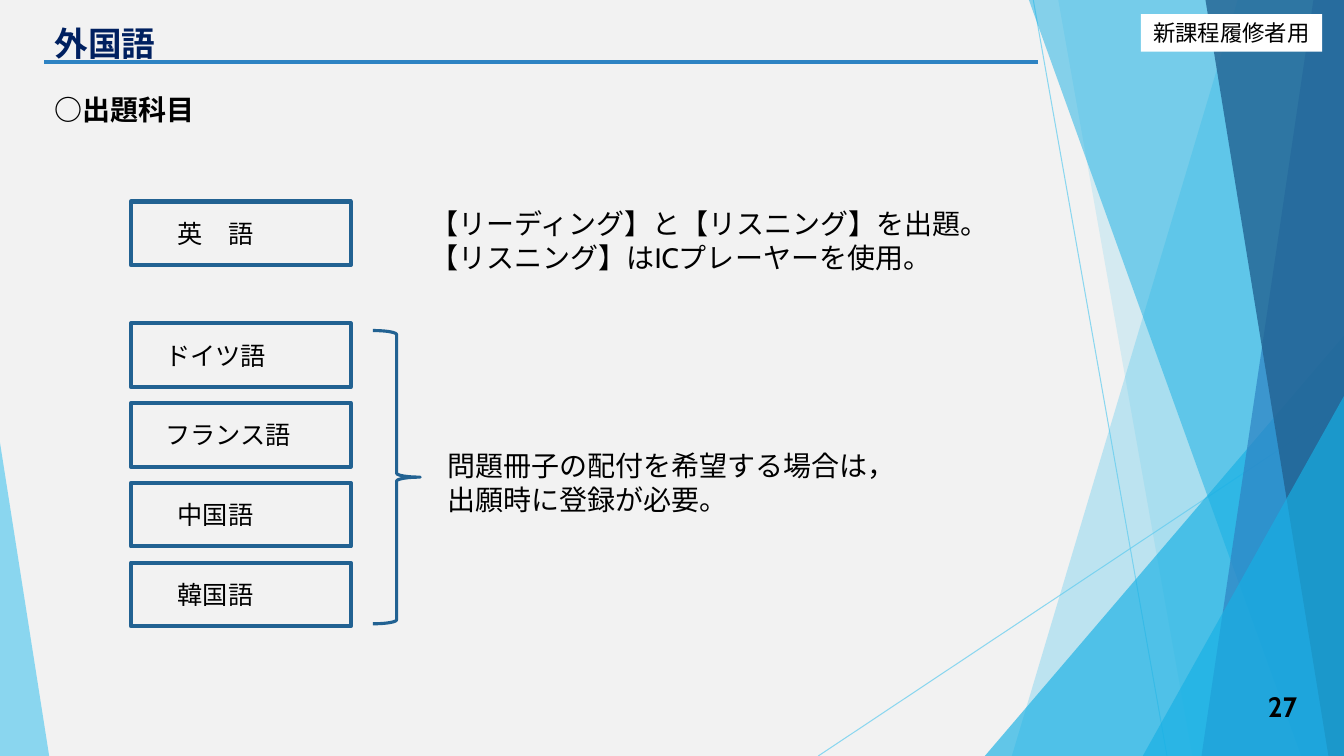
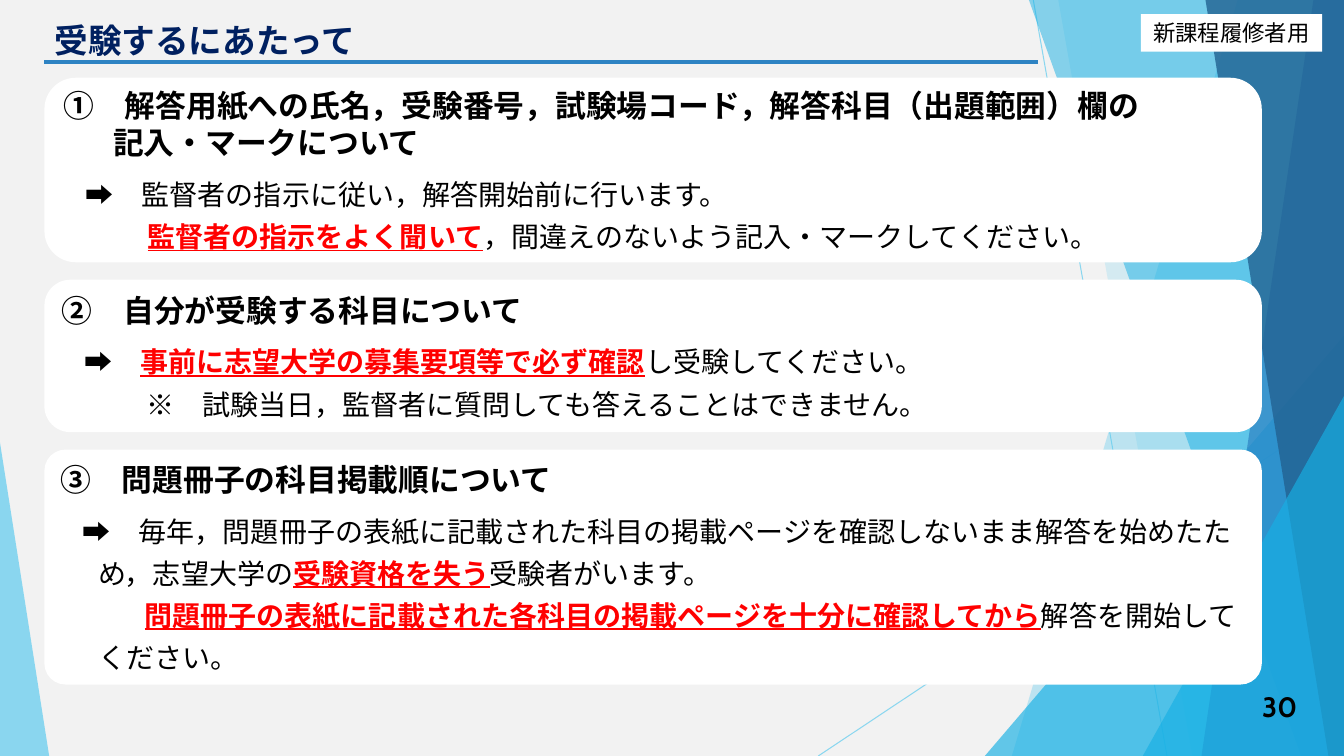
from collections import namedtuple
from dataclasses import dataclass

from lxml import etree
from pptx import Presentation
from pptx.dml.color import RGBColor
from pptx.enum.shapes import MSO_CONNECTOR, MSO_SHAPE
from pptx.enum.text import MSO_ANCHOR, MSO_AUTO_SIZE, PP_ALIGN
from pptx.oxml.ns import qn
from pptx.util import Cm, Pt

RECTANGLE = MSO_SHAPE.RECTANGLE
ROUNDED = MSO_SHAPE.ROUNDED_RECTANGLE
TRIANGLE = MSO_SHAPE.ISOSCELES_TRIANGLE
BRACE = MSO_SHAPE.RIGHT_BRACE
STRAIGHT = MSO_CONNECTOR.STRAIGHT
TOP, MIDDLE = MSO_ANCHOR.TOP, MSO_ANCHOR.MIDDLE
LEFT, CENTER, RIGHT = PP_ALIGN.LEFT, PP_ALIGN.CENTER, PP_ALIGN.RIGHT
NO_AUTOFIT = MSO_AUTO_SIZE.NONE

Box = namedtuple("Box", "left top width height")
Style = namedtuple("Style", "size color bold underline", defaults=(False, False))
Line = namedtuple("Line", "runs indent before", defaults=(0, 0))


@dataclass(frozen=True)
class Theme:
    """Colours, type sizes and page measures (cm) of the deck."""
    font: str = "Cabin"
    width: float = 33.87
    height: float = 19.05
    background: str = "F2F2F2"
    white: str = "FFFFFF"
    sky: str = "5FCBEF"
    cyan: str = "17B0E4"
    blue: str = "2E83C3"
    steel: str = "226292"
    title: Style = Style(24, "002060", True)
    badge: Style = Style(16, "000000")
    label: Style = Style(18, "000000")
    heading: Style = Style(22, "000000", True)
    body: Style = Style(20, "000000")
    strong: Style = Style(20, "000000", True)
    alert: Style = Style(20, "FF0000", True, True)


THEME = Theme()


def set_alpha(color_parent, percent):
    """Make the solid colour below an element partly transparent."""
    color = next(color_parent.iter(qn("a:srgbClr")))
    etree.SubElement(color, qn("a:alpha")).set("val", str(percent * 1000))


def paint(shape, fill=None, outline=None, outline_width=3, alpha=100):
    """Set the fill and outline of a shape and drop its shadow."""
    shape.shadow.inherit = False
    if fill:
        shape.fill.solid()
        shape.fill.fore_color.rgb = RGBColor.from_string(fill)
        if alpha < 100:
            set_alpha(shape.fill._xPr, alpha)
    else:
        shape.fill.background()
    if outline:
        shape.line.color.rgb = RGBColor.from_string(outline)
        shape.line.width = Pt(outline_width)
    else:
        shape.line.fill.background()


def add_run(paragraph, text, style):
    """Add one run of text in a theme style."""
    run = paragraph.add_run()
    run.text = text
    font = run.font
    font.size, font.bold, font.underline = Pt(style.size), style.bold, style.underline
    font.color.rgb = RGBColor.from_string(style.color)
    font.name = THEME.font
    properties = run._r.get_or_add_rPr()
    properties.set("lang", "ja-JP")
    east_asian = etree.Element(qn("a:ea"))
    east_asian.set("typeface", THEME.font)
    properties.find(qn("a:latin")).addnext(east_asian)


def write(shape, lines, align=LEFT, anchor=TOP):
    """Fill a shape with lines of styled runs."""
    frame = shape.text_frame
    frame.word_wrap = True
    frame.auto_size = NO_AUTOFIT
    frame.vertical_anchor = anchor
    for index, line in enumerate(lines):
        paragraph = frame.add_paragraph() if index else frame.paragraphs[0]
        paragraph.alignment = align
        paragraph.space_before = Pt(line.before)
        if line.indent:
            properties = paragraph._p.get_or_add_pPr()
            properties.set("marL", str(Cm(line.indent)))
            properties.set("indent", "0")
        for text, style in line.runs:
            add_run(paragraph, text, style)


def plain(style, *texts):
    """Return one single-run line for each text."""
    return [Line([(text, style)]) for text in texts]


def add_box(slide, kind, box):
    """Add a preset shape in a box given in cm."""
    return slide.shapes.add_shape(kind, *map(Cm, box))


def add_text(slide, box, lines, align=LEFT, anchor=TOP):
    """Add a text box."""
    write(slide.shapes.add_textbox(*map(Cm, box)), lines, align, anchor)


def add_line(slide, start, end, color, width, alpha=100):
    """Add a straight line without shadow."""
    line = slide.shapes.add_connector(STRAIGHT, *map(Cm, start + end))
    line.line.color.rgb = RGBColor.from_string(color)
    line.line.width = Pt(width)
    properties = line._element.spPr
    if alpha < 100:
        set_alpha(properties, alpha)
    etree.SubElement(properties, qn("a:effectLst"))


def add_band(slide, page, top_left, bottom_left, color, alpha):
    """Add a slanted band that reaches the right edge of the page."""
    right, bottom = page.left + page.width, page.top + page.height
    builder = slide.shapes.build_freeform(Cm(top_left), Cm(page.top))
    corners = [(right, page.top), (right, bottom), (bottom_left, bottom)]
    builder.add_line_segments([(Cm(x), Cm(y)) for x, y in corners], close=True)
    paint(builder.convert_to_shape(), color, alpha=alpha)


def add_corner(slide, page, left, top, width, apex, color, alpha):
    """Add a triangle that stands on the bottom of the page."""
    height = page.top + page.height - top
    triangle = add_box(slide, TRIANGLE, Box(left, top, width, height))
    triangle.adjustments[0] = apex
    paint(triangle, color, alpha=alpha)


def add_facets(slide, page):
    """Draw the translucent facets along the page edges."""
    right, bottom = page.left + page.width, page.top + page.height
    add_line(slide, (26.04, page.top), (29.41, bottom), THEME.sky, 0.75, 70)
    add_line(slide, (right, 10.24), (20.62, bottom), THEME.sky, 0.75, 70)
    add_band(slide, page, 31.19, 25.5, THEME.sky, 36)
    add_band(slide, page, 26.67, 30.05, THEME.sky, 20)
    add_corner(slide, page, 24.82, 8.46, right - 24.82, 1, THEME.cyan, 66)
    add_band(slide, page, 25.93, 32.79, THEME.cyan, 50)
    add_band(slide, page, 33.1, 30.28, THEME.blue, 70)
    add_band(slide, page, 30.38, 33.48, THEME.steel, 80)
    add_corner(slide, page, 28.8, 9.98, right - 28.8, 1, THEME.cyan, 66)
    add_corner(slide, page, page.left, 11.15, 1.24, 0, THEME.sky, 70)


def add_page(presentation, title, title_top, number):
    """Add a slide with the shared background, title, badge and number."""
    slide = presentation.slides.add_slide(presentation.slide_layouts[5])
    slide.background.fill.solid()
    slide.background.fill.fore_color.rgb = RGBColor.from_string(THEME.background)
    add_facets(slide, Box(0, 0, THEME.width, THEME.height))
    add_line(slide, (1.12, 1.57), (26.16, 1.57), THEME.blue, 3)
    badge = add_box(slide, RECTANGLE, Box(28.75, 0.36, 4.57, 0.94))
    paint(badge, THEME.white)
    write(badge, plain(THEME.badge, "新課程履修者用"), CENTER, MIDDLE)
    add_text(slide, Box(31.04, 17.3, 1.9, 1.02), plain(THEME.strong, number), RIGHT, MIDDLE)
    heading = slide.shapes.title
    heading.left, heading.top, heading.width, heading.height = map(
        Cm, Box(1.12, title_top, 23.88, 1.57))
    write(heading, plain(THEME.title, title))
    return slide


def add_subject(slide, box, name, shift):
    """Add a framed subject name, centred left of the middle by a shift."""
    frame = add_box(slide, RECTANGLE, box)
    paint(frame, THEME.background, THEME.steel)
    write(frame, plain(THEME.label, name), CENTER, MIDDLE)
    frame.text_frame.margin_right = Cm(0.25 + 2 * shift)


def add_subjects(slide, area):
    """Place English, the other languages, their brace and the notes."""
    width, height, pitch, others_top = 5.54, 1.6, 2.01, area.top + 3.07
    half_character = 0.32
    add_subject(slide, Box(area.left, area.top, width, height), "英　語", 2 * half_character)
    others = [("ドイツ語", 2), ("フランス語", 1), ("中国語", 2), ("韓国語", 2)]
    for index, (name, steps) in enumerate(others):
        box = Box(area.left, others_top + index * pitch, width, height)
        add_subject(slide, box, name, steps * half_character)
    brace = add_box(slide, BRACE, Box(area.left + 6.1, others_top + 0.18, 1.19, 7.39))
    paint(brace, outline=THEME.steel, outline_width=2.25)
    add_text(slide, Box(area.left + 7.72, others_top + 3.03, 12.67, 1.96), plain(
        THEME.body, "問題冊子の配付を希望する場合は，", "出願時に登録が必要。"))
    add_text(slide, Box(area.left + 7.29, area.top, 14.4, 1.96), plain(
        THEME.body, "【リーディング】と【リスニング】を出題。",
        "【リスニング】はICプレーヤーを使用。"))


def add_cards(slide, area, gap, cards):
    """Stack rounded cards of given height and corner ratio."""
    top = area.top
    for height, corner, lines in cards:
        card = add_box(slide, ROUNDED, Box(area.left, top, area.width, height))
        card.adjustments[0] = corner
        paint(card, THEME.white)
        write(card, lines, anchor=MIDDLE)
        top += height + gap


def heading(text, indent=0):
    """Return a card heading line."""
    return Line([(text, THEME.heading)], indent)


def arrow(*runs):
    """Return the line that opens a card's explanation."""
    return Line([("➡　", THEME.body), *runs], 0.56, 12)


def detail(*runs, indent=2.12):
    """Return an indented line of explanation."""
    return Line(runs, indent, 6)


def body(text):
    """Return a run of body text."""
    return text, THEME.body


def alert(text):
    """Return a run of red underlined text."""
    return text, THEME.alert


def build_subjects_slide(presentation):
    """Build the slide on foreign language subjects."""
    slide = add_page(presentation, "外国語", 0.46, "27")
    add_text(slide, Box(1.12, 2.21, 5.05, 1.12), plain(THEME.strong, "○出題科目"))
    add_subjects(slide, Box(3.3, 5.08, 21.69, 10.7))


def build_advice_slide(presentation):
    """Build the slide with advice for sitting the examination."""
    slide = add_page(presentation, "受験するにあたって", 0.38, "30")
    answer_sheet = [
        heading("①　解答用紙への氏名，受験番号，試験場コード，解答科目（出題範囲）欄の"),
        heading("記入・マークについて", 1.25),
        arrow(body("監督者の指示に従い，解答開始前に行います。")),
        detail(alert("監督者の指示をよく聞いて"),
               body("，間違えのないよう記入・マークしてください。")),
    ]
    own_subjects = [
        heading("➁　自分が受験する科目について"),
        arrow(alert("事前に志望大学の募集要項等で必ず確認"), body("し受験してください。")),
        detail(body("※　試験当日，監督者に質問しても答えることはできません。")),
    ]
    subject_order = [
        heading("③　問題冊子の科目掲載順について"),
        arrow(body("毎年，問題冊子の表紙に記載された科目の掲載ページを確認しないまま解答を始めたた")),
        detail(body("め，志望大学の"), alert("受験資格を失う"), body("受験者がいます。"),
               indent=0.95),
        detail(alert("問題冊子の表紙に記載された各科目の掲載ページを十分に確認してから"),
               body("解答を開始して")),
        detail(body("ください。"), indent=0.95),
    ]
    add_cards(slide, Box(1.12, 1.96, 30.68, 15.29), 0.44, [
        (4.65, 0.17, answer_sheet), (3.84, 0.17, own_subjects), (5.92, 0.09, subject_order)])


def main():
    """Build and save the presentation."""
    presentation = Presentation()
    presentation.slide_width = Cm(THEME.width)
    presentation.slide_height = Cm(THEME.height)
    build_subjects_slide(presentation)
    build_advice_slide(presentation)
    presentation.save("out.pptx")


if __name__ == "__main__":
    main()
